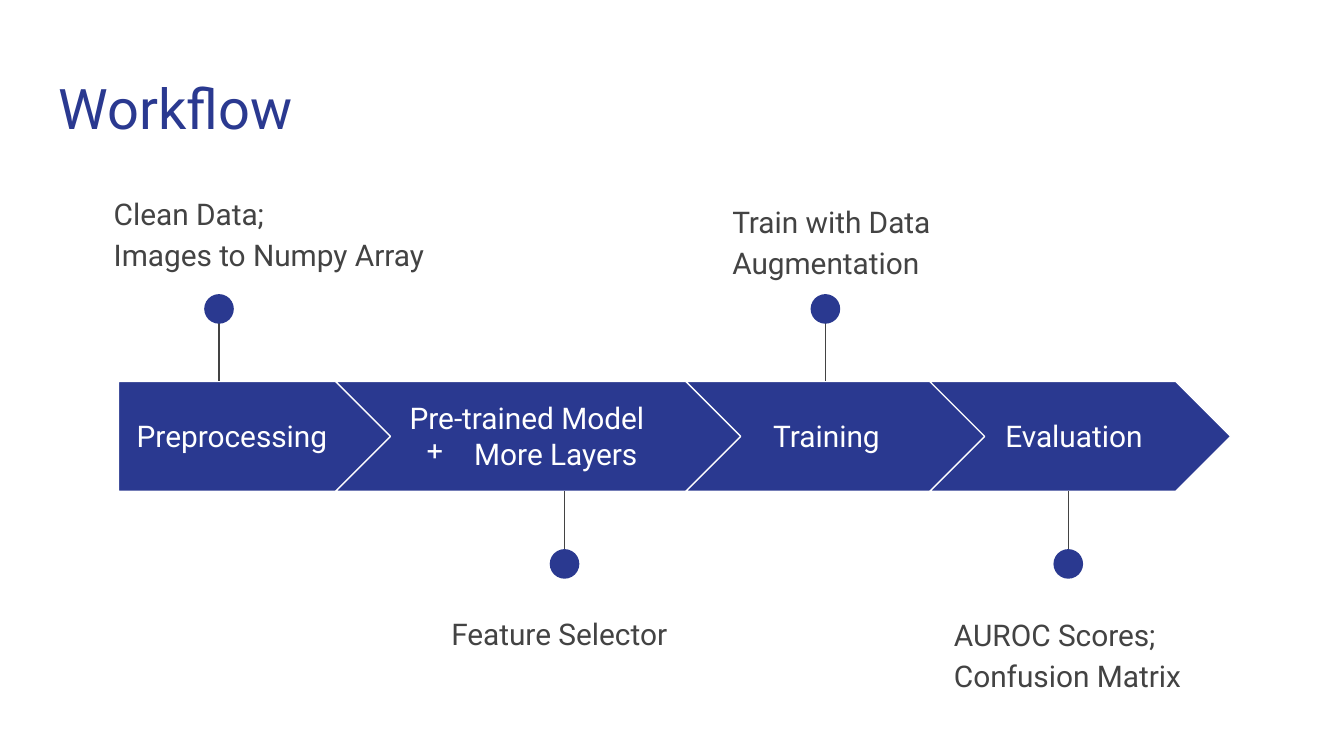
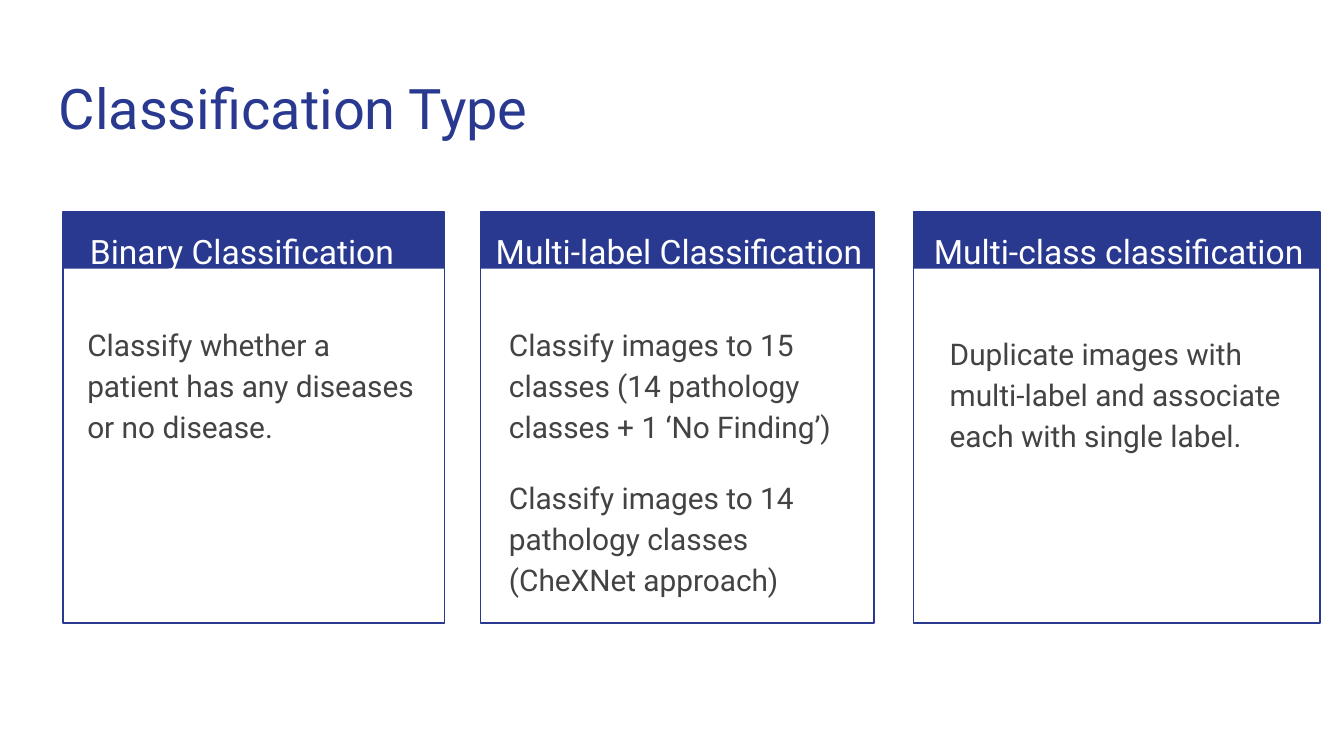
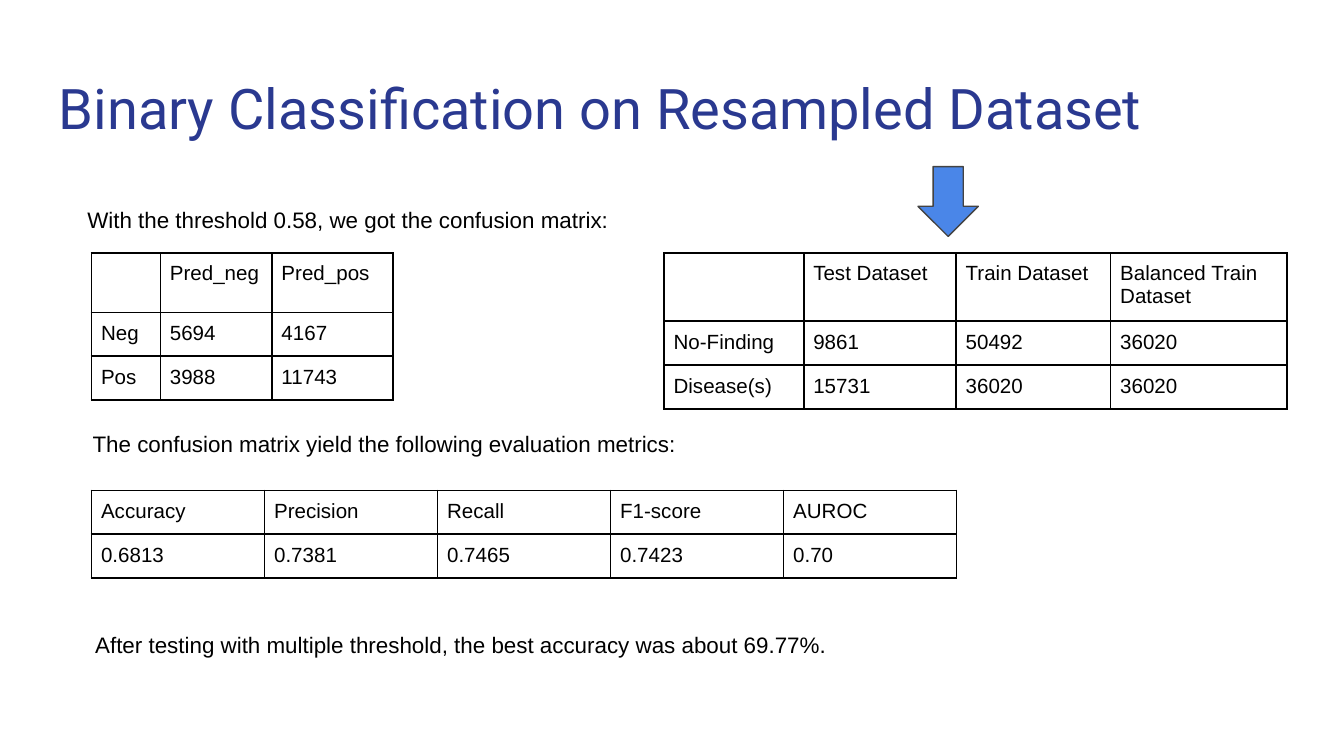
"""Build three slides on an image classification project: workflow, types and results."""
from lxml import etree
from pptx import Presentation
from pptx.dml.color import RGBColor
from pptx.enum.shapes import MSO_CONNECTOR, MSO_SHAPE
from pptx.enum.text import MSO_ANCHOR, PP_ALIGN
from pptx.oxml.ns import qn
from pptx.util import Cm, Pt

CENTER, LEFT = PP_ALIGN.CENTER, PP_ALIGN.LEFT
MIDDLE, TOP = MSO_ANCHOR.MIDDLE, MSO_ANCHOR.TOP
PENTAGON, CHEVRON = MSO_SHAPE.PENTAGON, MSO_SHAPE.CHEVRON
OVAL, RECTANGLE, DOWN_ARROW = MSO_SHAPE.OVAL, MSO_SHAPE.RECTANGLE, MSO_SHAPE.DOWN_ARROW
STRAIGHT = MSO_CONNECTOR.STRAIGHT

NAVY, GREY, WHITE, BLACK, BLUE = "2A3990", "434343", "FFFFFF", "000000", "4A86E8"
HEADING_FONT, DATA_FONT = "Roboto", "Arial"
LINE_WIDTH = 0.75

BAND_TOP, BAND_HEIGHT, STEP_OVERLAP = 7.21, 2.08, 1.08
DOT_SIZE, STEM_LENGTH = 0.56, 1.37
STEPS = [
    {"label": "Preprocessing", "width": 5.18, "label_at": (2.24, 4.29), "align": CENTER,
     "dot_x": 4.14, "above": True,
     "note": "Clean Data;\vImages to Numpy Array", "note_box": (1.9, 3.35, 6.38, 2.51)},
    {"label": "Pre-trained Model\nMore Layers", "width": 7.7, "label_at": (7.42, 5.08),
     "align": CENTER, "dot_x": 10.67, "above": False,
     "note": "Feature Selector", "note_box": (8.28, 11.28, 5.08, 1.65)},
    {"label": "Training", "width": 5.69, "label_at": (13.79, 3.66), "align": CENTER,
     "dot_x": 15.6, "above": True,
     "note": "Train with Data Augmentation", "note_box": (13.59, 3.5, 5.31, 2.24)},
    {"label": "Evaluation", "width": 5.69, "label_at": (18.75, 3.66), "align": LEFT,
     "dot_x": 20.19, "above": False,
     "note": "AUROC Scores;\vConfusion Matrix", "note_box": (17.78, 11.3, 6.22, 2.51)},
]

CARD_TOP, CARD_HEIGHT, HEADER_HEIGHT = 4.01, 7.77, 1.07
CARDS = [
    {"heading": "Binary Classification", "left": 1.19, "width": 7.21, "heading_at": (1.45, 6.93),
     "body": "Classify whether a patient has any diseases or no disease.",
     "body_box": (1.4, 5.82, 6.78, 5.05)},
    {"heading": "Multi-label Classification", "left": 9.08, "width": 7.44,
     "heading_at": (9.12, 7.47),
     "body": "Classify images to 15 classes (14 pathology classes + 1 ‘No Finding’)\n"
             "Classify images to 14 pathology classes (CheXNet approach)",
     "body_box": (9.37, 5.82, 6.93, 5.66)},
    {"heading": "Multi-class classification", "left": 17.27, "width": 7.68,
     "heading_at": (17.4, 7.52),
     "body": "Duplicate images with multi-label and associate each with single label.",
     "body_box": (17.7, 5.99, 6.93, 6.93)},
]

ROW_HEIGHT = 0.79
TABLES = [
    {"at": (12.55, 4.78), "columns": [2.64, 2.88, 2.92, 3.33], "header_height": 1.21,
     "rows": [["", "Test Dataset", "Train Dataset", "Balanced Train Dataset"],
              ["No-Finding", "9861", "50492", "36020"],
              ["Disease(s)", "15731", "36020", "36020"]]},
    {"at": (1.73, 4.78), "columns": [1.3, 2.11, 2.29], "header_height": 1.06,
     "rows": [["", "Pred_neg", "Pred_pos"],
              ["Neg", "5694", "4167"],
              ["Pos", "3988", "11743"]]},
    {"at": (1.73, 9.27), "columns": [3.27] * 5, "header_height": ROW_HEIGHT,
     "rows": [["Accuracy", "Precision", "Recall", "F1-score", "AUROC"],
              ["0.6813", "0.7381", "0.7465", "0.7423", "0.70"]]},
]
STATEMENTS = [
    ("With the threshold 0.58, we got the confusion matrix:", (1.4, 3.45, 11.4, 1.32), MIDDLE, 0),
    ("The confusion matrix yield the following evaluation metrics:",
     (1.02, 7.8, 12.57, 1.68), TOP, 0.48),
    ("After testing with multiple threshold, the best accuracy was about 69.77%.",
     (1.55, 11.07, 15.37, 2.16), MIDDLE, 0),
]


def rgb(value):
    return RGBColor.from_string(value)


def style_runs(paragraph, size, colour, font):
    for run in paragraph.runs:
        run.font.size = Pt(size)
        run.font.name = font
        run.font.color.rgb = rgb(colour)


def add_text(slide, text, box, size, colour, font=HEADING_FONT, align=LEFT, anchor=TOP,
             spacing=None, gap=0, indent=0):
    text_frame = slide.shapes.add_textbox(*map(Cm, box)).text_frame
    text_frame.word_wrap = True
    text_frame.vertical_anchor = anchor
    text_frame.margin_left = text_frame.margin_right = Cm(0.25)
    text_frame.margin_top = text_frame.margin_bottom = Cm(0.25)
    text_frame.text = text
    for number, paragraph in enumerate(text_frame.paragraphs):
        paragraph.alignment = align
        if spacing:
            paragraph.line_spacing = spacing
        if gap and number:
            paragraph.space_before = Pt(gap)
        if indent:
            paragraph._p.get_or_add_pPr().set("marL", str(Cm(indent)))
        style_runs(paragraph, size, colour, font)
    return text_frame


def add_bullet(paragraph, character, colour, left, hanging):
    properties = paragraph._p.get_or_add_pPr()
    properties.set("marL", str(Cm(left)))
    properties.set("indent", str(-Cm(hanging)))
    bullet_colour = etree.SubElement(properties, qn("a:buClr"))
    etree.SubElement(bullet_colour, qn("a:srgbClr"), val=colour)
    etree.SubElement(properties, qn("a:buChar"), char=character)


def add_shape(slide, kind, box, fill=None, line=None):
    shape = slide.shapes.add_shape(kind, *map(Cm, box))
    shape.shadow.inherit = False
    if fill:
        shape.fill.solid()
        shape.fill.fore_color.rgb = rgb(fill)
    else:
        shape.fill.background()
    if line:
        shape.line.color.rgb = rgb(line)
        shape.line.width = Pt(LINE_WIDTH)
    else:
        shape.line.fill.background()


def add_stem(slide, x, start, end):
    connector = slide.shapes.add_connector(STRAIGHT, Cm(x), Cm(start), Cm(x), Cm(end))
    connector.line.color.rgb = rgb(GREY)
    connector.line.width = Pt(LINE_WIDTH)
    etree.SubElement(connector._element.spPr, qn("a:effectLst"))


def add_borders(cell):
    properties = cell._tc.get_or_add_tcPr()
    for side in ("lnL", "lnR", "lnT", "lnB"):
        border = etree.SubElement(properties, qn(f"a:{side}"), w=str(Pt(1)))
        fill = etree.SubElement(border, qn("a:solidFill"))
        etree.SubElement(fill, qn("a:srgbClr"), val=BLACK)


def add_data_table(slide, at, columns, header_height, rows):
    heights = [header_height] + [ROW_HEIGHT] * (len(rows) - 1)
    size = (sum(columns), sum(heights))
    table = slide.shapes.add_table(len(rows), len(columns), *map(Cm, at + size)).table
    table.first_row = table.horz_banding = False
    for column, width in zip(table.columns, columns):
        column.width = Cm(width)
    for row, height, values in zip(table.rows, heights, rows):
        row.height = Cm(height)
        for cell, value in zip(row.cells, values):
            cell.margin_left = cell.margin_right = Cm(0.18)
            cell.margin_top = cell.margin_bottom = Cm(0.18)
            add_borders(cell)
            cell.fill.background()
            cell.text_frame.text = value
            style_runs(cell.text_frame.paragraphs[0], 11, BLACK, DATA_FONT)


def add_titled_slide(presentation, title):
    slide = presentation.slides.add_slide(presentation.slide_layouts[6])
    add_text(slide, title, (0.86, 1.14, 23.67, 1.68), 30, NAVY)
    return slide


def build_workflow(presentation):
    slide = add_titled_slide(presentation, "Workflow")
    step_left = 2.24
    for number, step in enumerate(STEPS):
        add_shape(slide, CHEVRON if number else PENTAGON,
                  (step_left, BAND_TOP, step["width"], BAND_HEIGHT), NAVY, WHITE)
        step_left += step["width"] - STEP_OVERLAP

        label_left, label_width = step["label_at"]
        label = add_text(slide, step["label"], (label_left, 7.59, label_width, 1.3), 16, WHITE,
                         align=step["align"], anchor=MIDDLE)
        for paragraph in label.paragraphs[1:]:
            add_bullet(paragraph, "+", WHITE, 1.09, 0.91)

        edge = BAND_TOP if step["above"] else BAND_TOP + BAND_HEIGHT
        dot_y = edge - STEM_LENGTH if step["above"] else edge + STEM_LENGTH
        add_stem(slide, step["dot_x"], dot_y, edge)
        add_shape(slide, OVAL, (step["dot_x"] - DOT_SIZE / 2, dot_y - DOT_SIZE / 2,
                                DOT_SIZE, DOT_SIZE), NAVY)
        add_text(slide, step["note"], step["note_box"], 16, GREY, spacing=1.15)


def build_classification_types(presentation):
    slide = add_titled_slide(presentation, "Classification Type")
    for card in CARDS:
        left, width = card["left"], card["width"]
        add_shape(slide, RECTANGLE, (left, CARD_TOP, width, HEADER_HEIGHT), NAVY)
        add_shape(slide, RECTANGLE, (left, CARD_TOP, width, CARD_HEIGHT), line=NAVY)
        heading_left, heading_width = card["heading_at"]
        add_text(slide, card["heading"], (heading_left, CARD_TOP, heading_width, 1.27), 18, WHITE,
                 spacing=1.15)
        add_text(slide, card["body"], card["body_box"], 16, GREY, spacing=1.15, gap=16)


def build_results(presentation):
    slide = add_titled_slide(presentation, "Binary Classification on Resampled Dataset")
    for table in TABLES:
        add_data_table(slide, **table)
    for text, box, anchor, indent in STATEMENTS:
        add_text(slide, text, box, 12, BLACK, DATA_FONT, anchor=anchor, spacing=1.15,
                 indent=indent)
    add_shape(slide, DOWN_ARROW, (17.35, 3.15, 1.14, 1.32), BLUE, GREY)


def main():
    presentation = Presentation()
    presentation.slide_width, presentation.slide_height = Cm(25.4), Cm(14.29)
    build_workflow(presentation)
    build_classification_types(presentation)
    build_results(presentation)
    presentation.save("out.pptx")


if __name__ == "__main__":
    main()
